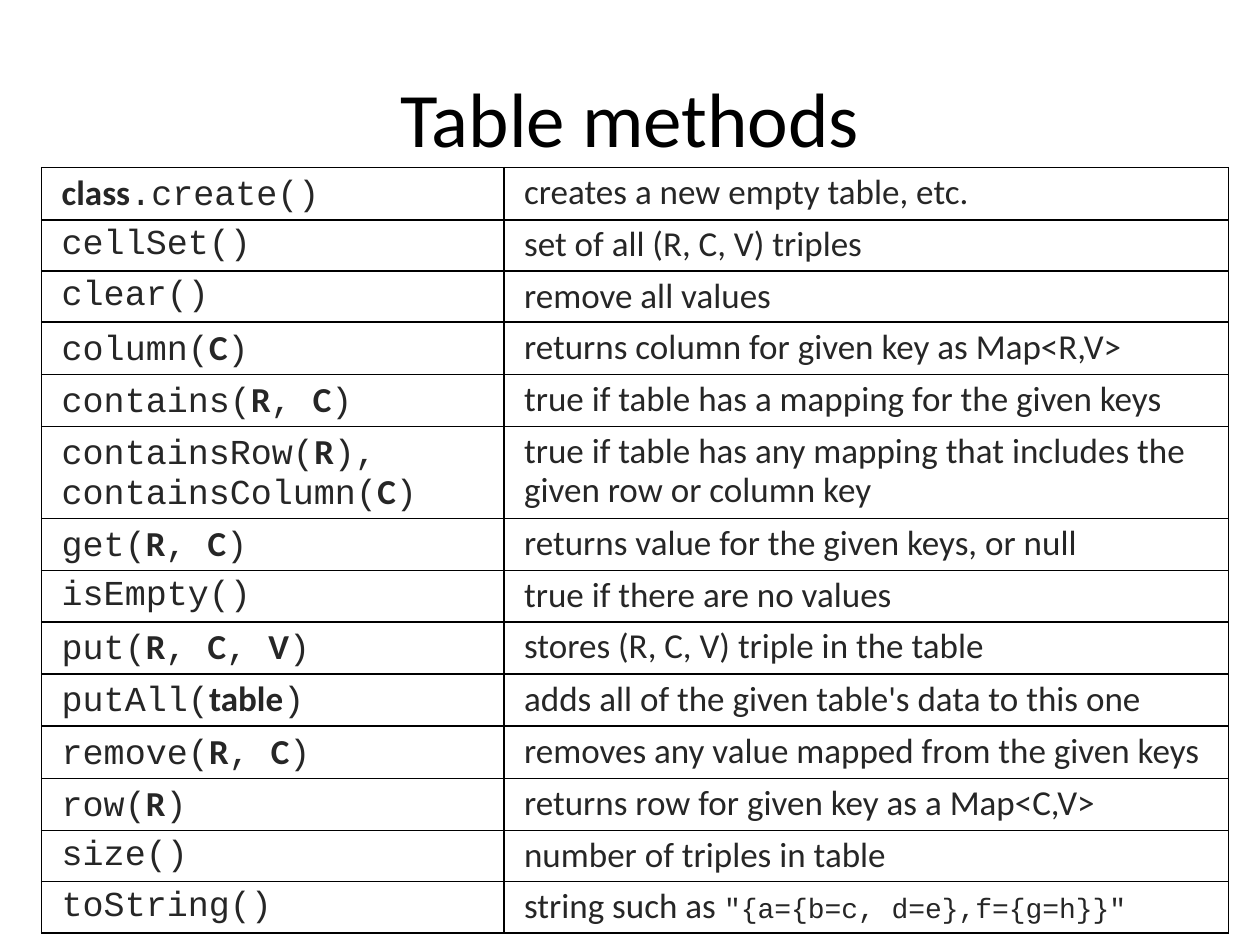
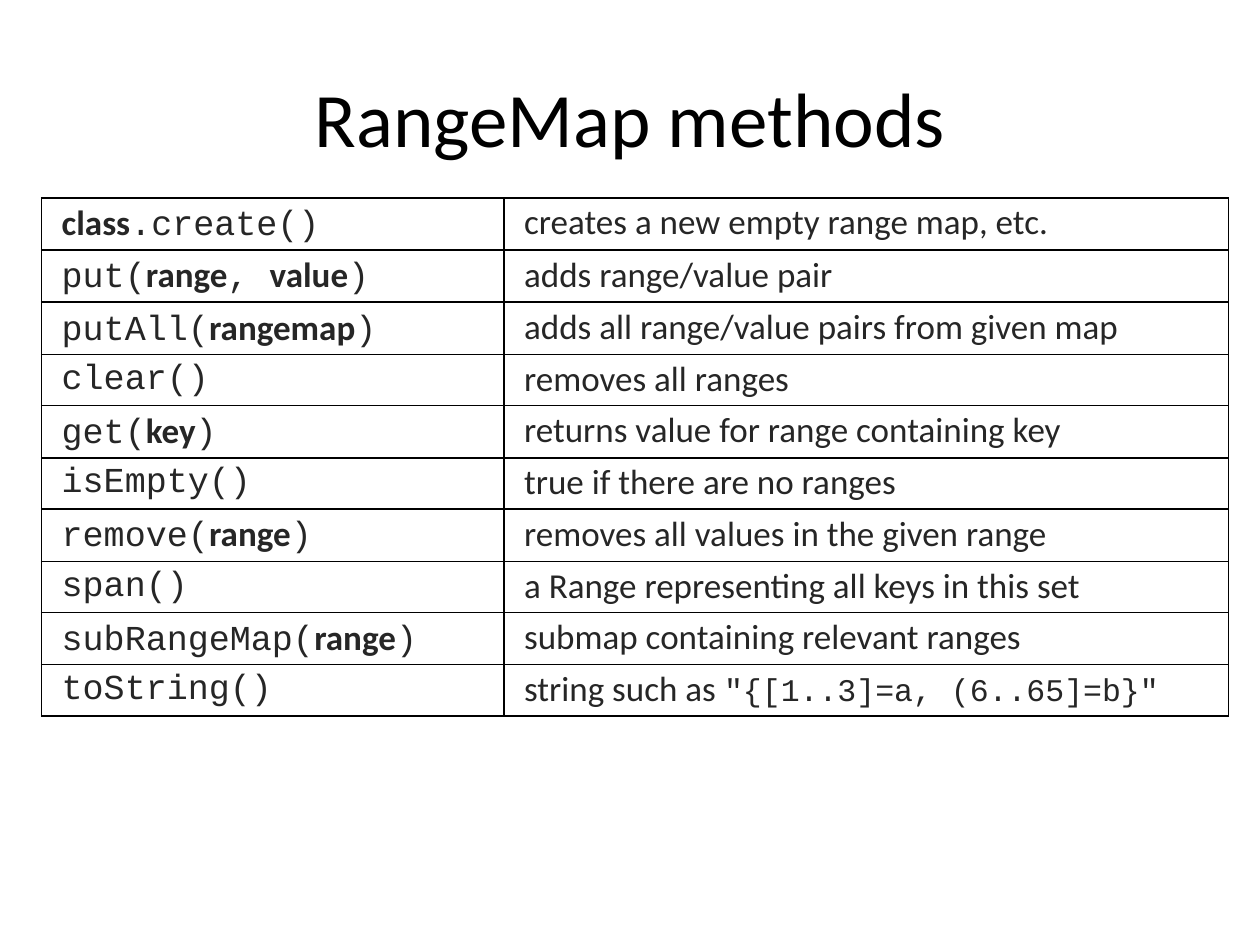
"""Builds two slides that list collection methods in ruled tables."""
from lxml.etree import fromstring
from pptx import Presentation
from pptx.dml.color import RGBColor
from pptx.enum.text import MSO_ANCHOR, PP_ALIGN
from pptx.oxml.ns import nsdecls
from pptx.util import Inches, Pt

INK = {"title": "000000", "text": "262626", "rule": "000000"}
SANS, MONO = "Calibri", "Courier New"
LEFT, WIDTHS, ROW = 0.33, (3.67, 5.75), 0.4

TABLE = [
    ("|class|.create()", "creates a new empty table, etc."),
    ("cellSet()", "set of all (R, C, V) triples"),
    ("clear()", "remove all values"),
    ("column(|C|)", "returns column for given key as Map<R,V>"),
    ("contains(|R|, |C|)", "true if table has a mapping for the given keys"),
    ("containsRow(|R|),\ncontainsColumn(|C|)",
     "true if table has any mapping that includes the given row or column key"),
    ("get(|R|, |C|)", "returns value for the given keys, or null"),
    ("isEmpty()", "true if there are no values"),
    ("put(|R|, |C|, |V|)", "stores (R, C, V) triple in the table"),
    ("putAll(|table|)", "adds all of the given table's data to this one"),
    ("remove(|R|, |C|)", "removes any value mapped from the given keys"),
    ("row(|R|)", "returns row for given key as a Map<C,V>"),
    ("size()", "number of triples in table"),
    ("toString()", 'string such as |"{a={b=c, d=e},f={g=h}}"|'),
]
RANGES = [
    ("|class|.create()", "creates a new empty range map, etc."),
    ("put(|range|, |value|)", "adds range/value pair"),
    ("putAll(|rangemap|)", "adds all range/value pairs from given map"),
    ("clear()", "removes all ranges"),
    ("get(|key|)", "returns value for range containing key"),
    ("isEmpty()", "true if there are no ranges"),
    ("remove(|range|)", "removes all values in the given range"),
    ("span()", "a Range representing all keys in this set"),
    ("subRangeMap(|range|)", "submap containing relevant ranges"),
    ("toString()", 'string such as |"{[1..3]=a, (6..65]=b}"|'),
]


def write(para, text, size=20, face=SANS, ink="text", bold=False):
    for i, line in enumerate(text.split("\n")):
        if i:
            para.add_line_break()
        run = para.add_run()
        run.text = line
        font = run.font
        font.size, font.name, font.bold = Pt(size), face, bold
        font.color.rgb = RGBColor.from_string(INK[ink])


class Deck:
    def __init__(self):
        self.show = Presentation()
        self.show.slide_width = Inches(10)
        self.show.slide_height = Inches(7.5)
        self.slide = None

    def start(self, title):
        self.slide = self.show.slides.add_slide(self.show.slide_layouts[5])
        box = self.slide.shapes.title
        box.left, box.top = Inches(0.5), Inches(0.3)
        box.width, box.height = Inches(9), Inches(1.25)
        frame = box.text_frame
        frame.vertical_anchor = MSO_ANCHOR.MIDDLE
        para = frame.paragraphs[0]
        para.alignment = PP_ALIGN.CENTER
        write(para, title, size=44, ink="title")

    def rule(self, cell):
        cell.fill.background()
        props = cell._tc.get_or_add_tcPr()
        for i, side in enumerate("LRTB"):
            props.insert(i, fromstring(
                f'<a:ln{side} {nsdecls("a")} w="{Pt(1)}"><a:solidFill>'
                f'<a:srgbClr val="{INK["rule"]}"/></a:solidFill></a:ln{side}>'))

    def fill(self, cell, text, base, mark):
        self.rule(cell)
        para = cell.text_frame.paragraphs[0]
        para.line_spacing = 0.9
        props = para._p.get_or_add_pPr()
        props.set("marL", str(Inches(0.06)))
        props.set("indent", "0")
        for i, part in enumerate(text.split("|")):
            if part:
                write(para, part, **(mark if i % 2 else base))

    def table(self, rows, top, code):
        grid = self.slide.shapes.add_table(
            len(rows), len(WIDTHS), Inches(LEFT), Inches(top),
            Inches(sum(WIDTHS)), Inches(ROW * len(rows))).table
        grid.first_row = grid.horz_banding = False
        for col, width in zip(grid.columns, WIDTHS):
            col.width = Inches(width)
        for i, (call, note) in enumerate(rows):
            self.fill(grid.cell(i, 0), call, {"face": MONO}, {"bold": True})
            self.fill(grid.cell(i, 1), note, {}, {"face": MONO, "size": code})


def main():
    deck = Deck()
    deck.start("Table methods")
    deck.table(TABLE, top=1.33, code=16)
    deck.start("RangeMap methods")
    deck.table(RANGES, top=1.57, code=18)
    deck.show.save("out.pptx")


if __name__ == "__main__":
    main()
